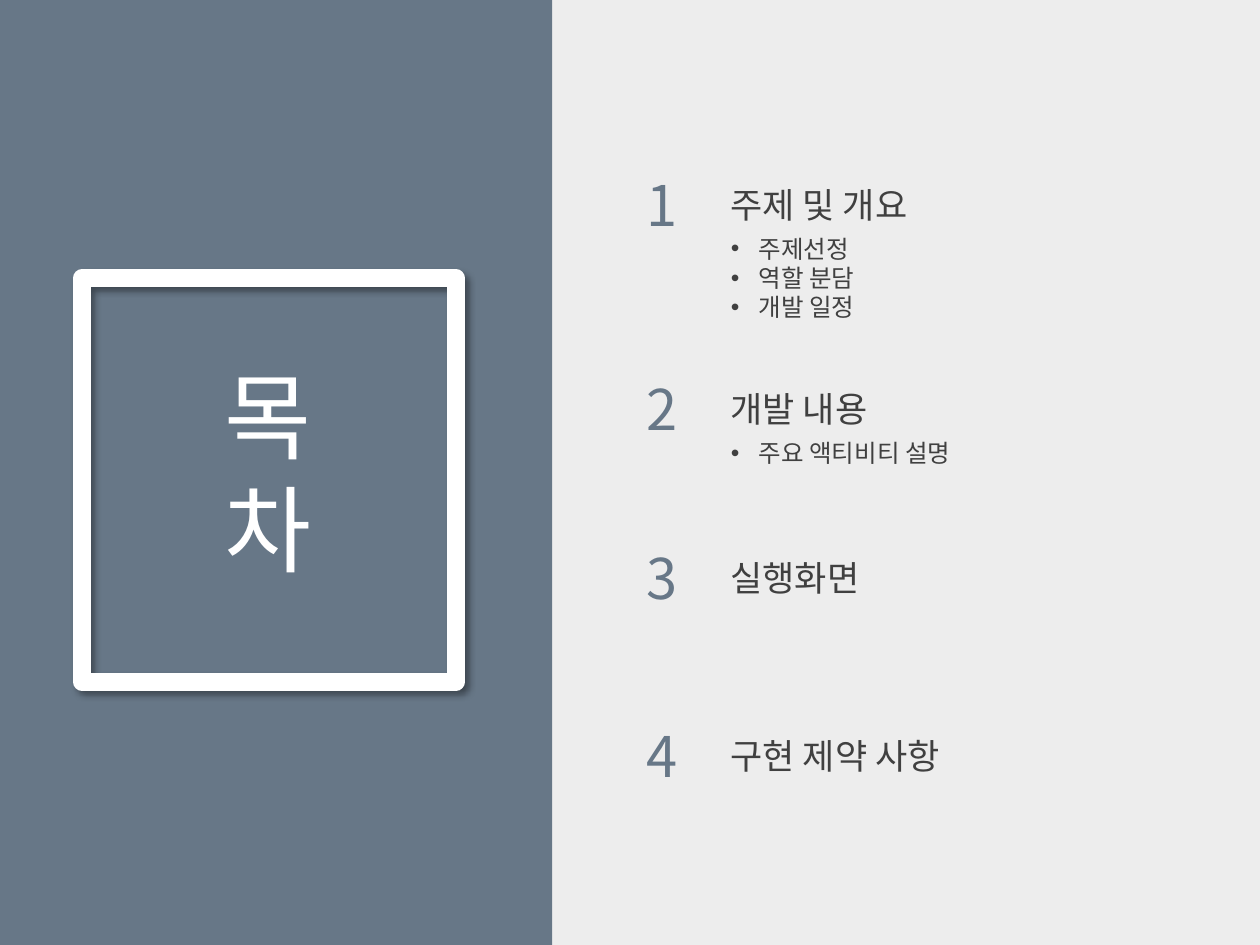
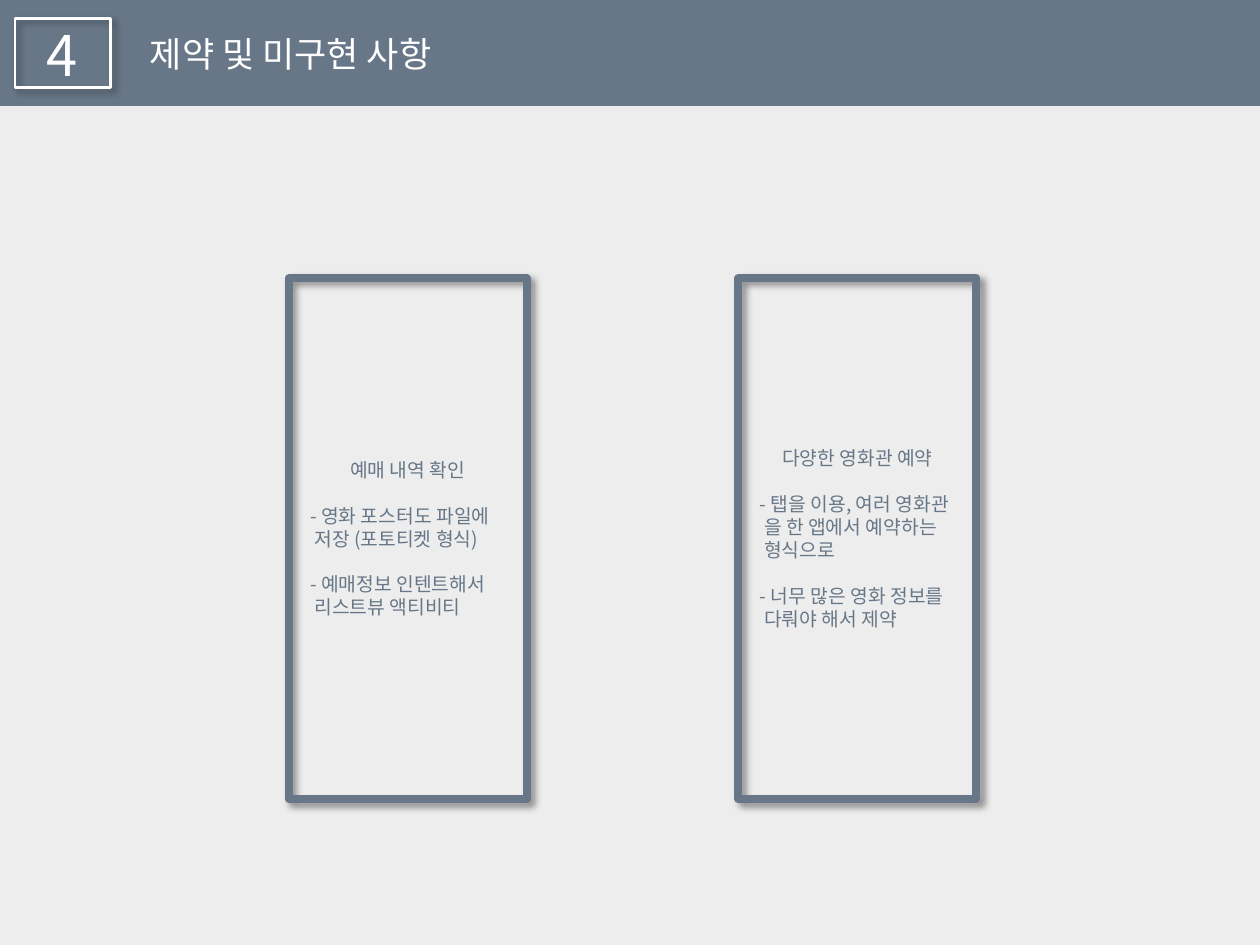
from lxml import etree
from pptx import Presentation
from pptx.dml.color import RGBColor
from pptx.enum.shapes import MSO_SHAPE
from pptx.enum.text import MSO_ANCHOR, MSO_AUTO_SIZE, PP_ALIGN
from pptx.oxml.ns import qn
from pptx.util import Pt

RECTANGLE = MSO_SHAPE.RECTANGLE
TOP = MSO_ANCHOR.TOP
NO_AUTOFIT = MSO_AUTO_SIZE.NONE
LEFT, CENTER = PP_ALIGN.LEFT, PP_ALIGN.CENTER

FONT = "Noto Sans CJK KR"
SLATE, WHITE, DARK, PAPER = "677787", "FFFFFF", "404040", "EDEDED"
WIDTH, HEIGHT = 720, 540
LINE_RATIO = 1.19
TWO_CONTENT = 3

AGENDA_TITLE = "목차"
AGENDA = [
    (94.3, "주제 및 개요", ["주제선정", "역할 분담", "개발 일정"]),
    (211, "개발 내용", ["주요 액티비티 설명"]),
    (307.4, "실행화면", []),
    (409, "구현 제약 사항", []),
]

LIMITS_NUMBER = "4"
LIMITS_TITLE = "제약 및 미구현 사항"
LIMITS = [
    ("예매 내역 확인", [
        ["- 영화 포스터도 파일에", "저장 (포토티켓 형식)"],
        ["- 예매정보 인텐트해서", "리스트뷰 액티비티"],
    ]),
    ("다양한 영화관 예약", [
        ["- 탭을 이용, 여러 영화관", "을 한 앱에서 예약하는", "형식으로"],
        ["- 너무 많은 영화 정보를", "다뤄야 해서 제약"],
    ]),
]
PANEL_LEFT, PANEL_TOP, PANEL_WIDTH, PANEL_HEIGHT = 165, 159, 136, 297.5
PANEL_STEP = 257
PANEL_SIZE = 11
DASH_INDENT, CONTINUATION_INDENT = 5, 7.4


def color(value):
    return RGBColor.from_string(value)


def add_slide(presentation):
    slide = presentation.slides.add_slide(presentation.slide_layouts[TWO_CONTENT])
    slide.background.fill.solid()
    slide.background.fill.fore_color.rgb = color(PAPER)
    return slide


def add_band(slide, width, height):
    band = slide.shapes.add_shape(RECTANGLE, 0, 0, Pt(width), Pt(height))
    band.shadow.inherit = False
    band.fill.solid()
    band.fill.fore_color.rgb = color(SLATE)
    band.line.fill.background()


def add_frame(slide, box, line_color, line_width):
    frame = slide.shapes.add_shape(RECTANGLE, *map(Pt, box))
    frame.fill.background()
    frame.line.color.rgb = color(line_color)
    frame.line.width = Pt(line_width)
    frame.shadow.inherit = False
    effects = frame._element.spPr.find(qn("a:effectLst"))
    shadow = etree.SubElement(effects, qn("a:outerShdw"), blurRad=str(Pt(4)),
                              dist=str(Pt(3)), dir="2700000", algn="tl", rotWithShape="0")
    black = etree.SubElement(shadow, qn("a:srgbClr"), val="000000")
    etree.SubElement(black, qn("a:alpha"), val="40000")


def format_paragraph(paragraph, size, text_color, alignment, margin, indent, bullet):
    paragraph.alignment = alignment
    paragraph.line_spacing = Pt(round(size * LINE_RATIO, 1))
    paragraph.font.size = Pt(size)
    paragraph.font.name = FONT
    paragraph.font.color.rgb = color(text_color)
    properties = paragraph._p.get_or_add_pPr()
    properties.set("marL", str(Pt(margin)))
    properties.set("indent", str(Pt(indent)))
    defaults = properties.find(qn("a:defRPr"))
    etree.SubElement(defaults, qn("a:ea"), typeface=FONT)
    mark = etree.Element(qn("a:buChar" if bullet else "a:buNone"))
    if bullet:
        mark.set("char", bullet)
    defaults.addprevious(mark)


def write(shape, box, lines, size, text_color, alignment=LEFT, margin=0, indent=0, bullet=None):
    shape.left, shape.top, shape.width, shape.height = map(Pt, box)
    frame = shape.text_frame
    frame.word_wrap = True
    frame.auto_size = NO_AUTOFIT
    frame.vertical_anchor = TOP
    frame.text = "\n".join(lines)
    for paragraph in frame.paragraphs:
        format_paragraph(paragraph, size, text_color, alignment, margin, indent, bullet)
        paragraph.space_before = Pt(0)
    return frame.paragraphs


def add_text(slide, box, text, size, text_color):
    write(slide.shapes.add_textbox(0, 0, 0, 0), box, [text], size, text_color)


def write_title(slide, box, text, size, alignment=LEFT):
    title = slide.shapes.title
    slide.shapes._spTree.append(title._element)
    write(title, box, [text], size, WHITE, alignment)


def build_agenda(presentation):
    slide = add_slide(presentation)
    lists = iter([slide.placeholders[1], slide.placeholders[2]])
    add_band(slide, 315.5, HEIGHT)
    add_frame(slide, (46.8, 159.1, 213.8, 230.4), WHITE, 10.25)
    write_title(slide, (110.9, 201.6, 85, 136.8), AGENDA_TITLE, 54, CENTER)
    for number, (top, heading, items) in enumerate(AGENDA, 1):
        add_text(slide, (362.2, top, 48, 45.4), str(number), 32, SLATE)
        add_text(slide, (410.4, top + 7.2, 198.7, 31), heading, 20, DARK)
        if items:
            box = (410.4, top + 35.7, 153.4, 7.2 + 16.8 * len(items))
            write(next(lists), box, items, 14, DARK, margin=16, indent=-16, bullet="•")


def write_panel(shape, left, heading, groups):
    line_height = round(PANEL_SIZE * LINE_RATIO, 1)
    lines = [heading] + [line for group in groups for line in group]
    height = (len(lines) + len(groups)) * line_height + 7.2
    top = PANEL_TOP + (PANEL_HEIGHT - height) / 2
    paragraphs = write(shape, (left, top, PANEL_WIDTH, height), lines, PANEL_SIZE, SLATE,
                       indent=CONTINUATION_INDENT)
    for paragraph in paragraphs:
        if paragraph.text.startswith("-"):
            paragraph.space_before = Pt(line_height)
            paragraph._p.pPr.set("indent", str(Pt(DASH_INDENT)))
    paragraphs[0].alignment = CENTER
    paragraphs[0]._p.pPr.set("indent", "0")


def build_limits(presentation):
    slide = add_slide(presentation)
    for index, (heading, groups) in enumerate(LIMITS):
        left = PANEL_LEFT + index * PANEL_STEP
        add_frame(slide, (left, PANEL_TOP, PANEL_WIDTH, PANEL_HEIGHT), SLATE, 4.5)
        write_panel(slide.placeholders[index + 1], left, heading, groups)
    add_band(slide, WIDTH, 60.6)
    add_frame(slide, (8.6, 10.6, 54.5, 39.6), WHITE, 1.5)
    add_text(slide, (19.4, 8.6, 48, 45.4), LIMITS_NUMBER, 32, WHITE)
    write_title(slide, (78.5, 15.1, 270.7, 30.2), LIMITS_TITLE, 20)


def main():
    presentation = Presentation()
    presentation.slide_width, presentation.slide_height = Pt(WIDTH), Pt(HEIGHT)
    build_agenda(presentation)
    build_limits(presentation)
    presentation.save("out.pptx")


if __name__ == "__main__":
    main()
